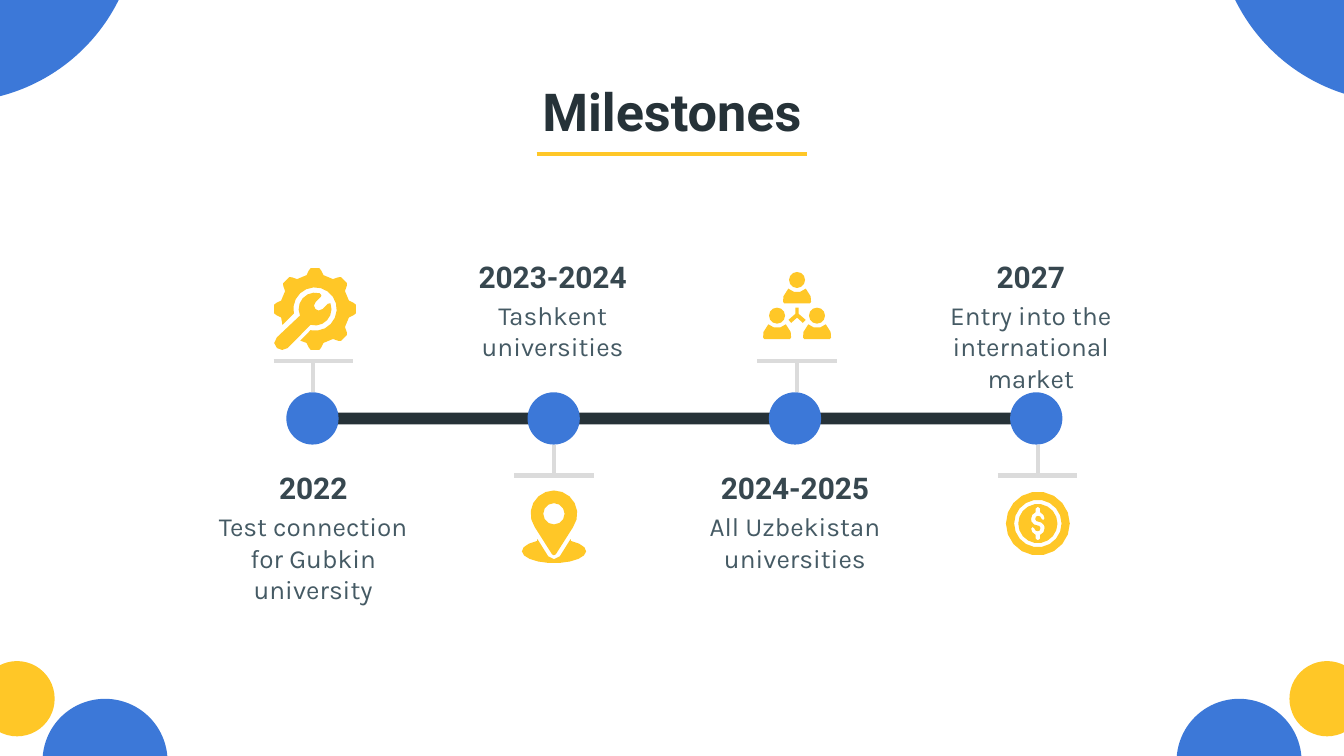
from math import cos, radians, sin

from lxml.etree import SubElement
from pptx import Presentation
from pptx.dml.color import RGBColor
from pptx.enum.shapes import MSO_CONNECTOR as Connector, MSO_SHAPE as Shape
from pptx.enum.text import MSO_ANCHOR as Anchor, PP_ALIGN as Align
from pptx.oxml.ns import qn
from pptx.util import Pt

BLUE = RGBColor(0x3C, 0x78, 0xD8)
YELLOW = RGBColor(0xFF, 0xC7, 0x27)
INK = RGBColor(0x26, 0x32, 0x38)
HEADING = RGBColor(0x37, 0x47, 0x4F)
BODY = RGBColor(0x45, 0x5A, 0x64)
GREY = RGBColor(0xDB, 0xDB, 0xDB)

TITLE = "Milestones"
MILESTONES = [
    ("2022", "Test connection for Gubkin university", "gear", 167.8, 167.9),
    ("2023-2024", "Tashkent universities", "pin", 296.1, 296.7),
    ("2024-2025", "All Uzbekistan universities", "team", 425.9, 427),
    ("2027", "Entry into the international market", "coin", 552.2, 555.9),
]
CORNER_CIRCLES = [
    (651.6, -141.8, 196.6, BLUE),
    (690.8, 354.2, 40.3, YELLOW),
    (630.3, 374.4, 67, BLUE),
    (-122.8, -142, 196.6, BLUE),
    (-11, 354.2, 40.3, YELLOW),
    (22.8, 374.4, 67, BLUE),
]

FIRST_DOT, DOT_STEP = 167.4, 129.25
AXIS_Y, DOT = 224.2, 28
ICON_AT = {"gear": (0.9, 165.6), "pin": (0.1, 275.3), "team": (0, 150), "coin": (0.1, 280.5)}


def arc(radius, start=0, end=360, x=0, y=0, radius_y=None):
    steps = max(2, round(abs(end - start) / (20 if radius > 8 else 30)))
    angles = [radians(start + (end - start) * n / steps) for n in range(steps + 1)]
    return [(x + radius * cos(a), y + (radius_y or radius) * sin(a)) for a in angles]


def polar(radius, angle):
    return radius * cos(radians(angle)), radius * sin(radians(angle))


def gear():
    rim = [polar(18.7, 115)]
    for tooth in range(90, -181, -45):
        rim += [polar(18.7, tooth + 14), polar(21, tooth + 9), polar(22, tooth + 6),
                polar(22, tooth - 6), polar(21, tooth - 9), polar(18.7, tooth - 14)]
    rim += [polar(19.4, 154)] + arc(11.6, 168, 462)
    handle = [(-8.2, 3.6), (-20.4, 15.1), (-21.9, 18.2), (-20.4, 20.9), (-17.6, 21.9), (-14.7, 20.9)]
    jaw = [(6.9, -2.9), (4, 0), (1.9, 0.8), (0.2, 0), (-0.6, -1.9), (0.2, -3.6), (3.1, -6.5), (3.4, -7.4)]
    return [[rim], [handle + arc(8.8, 106, -20) + jaw + arc(8.8, -74, -204)]]


def pin():
    marker = arc(12.5, 145, 395) + [(1, 21.7), (0, 22.2), (-1, 21.7)]
    notch = [(-8.9, 13.5), (-3.1, 22.8), (0, 24.3), (3.1, 22.8), (8.9, 13.5)]
    return [[marker, arc(5.7)], [notch + arc(17.2, -58, 238, y=20, radius_y=6.4)]]


def team():
    shoulders = [(7.3, 8.8), (7.5, 11.8), (6.8, 12.6)]
    torso = arc(6.6, 135, 45) + shoulders + [(-x, y) for x, y in reversed(shoulders)]
    parts = []
    for x, y in [(0, 0), (-10.7, 19.1), (10.7, 19.1)]:
        parts += [[arc(4.3, x=x, y=y)], [[(x + dx, y + dy) for dx, dy in torso]]]
    branch = [(0.9, 14.9), (0.9, 18.2), (4.6, 21.4), (3.1, 23)]
    link = branch + [(0, 20.2)] + [(-x, y) for x, y in reversed(branch)]
    return parts + [[link]]


def coin():
    half = [(0, -9), (1.2, -8.1), (1.2, -6.1), (3, -4.6), (3.6, -2.7), (2.9, -1.8),
            (1.9, -2.6), (1.2, -3.8), (0, -4.1), (-1, -3.7), (-1.4, -2.4), (-0.8, -1.3),
            (0, -1.1), (2, -0.5), (3.4, 1), (3.6, 2.5), (3, 4.7), (1.2, 6.1), (1.2, 8.1)]
    dollar = half + [(-x, -y) for x, y in half]
    return [[arc(17.1), arc(12.7)], [arc(10.5), dollar]]


ICONS = {"gear": gear, "pin": pin, "team": team, "coin": coin}

deck = Presentation()
deck.slide_width, deck.slide_height = Pt(720), Pt(405)
slide = deck.slides.add_slide(deck.slide_layouts[6])
shapes = slide.shapes


def paint(shape, color):
    shape.shadow.inherit = False
    shape.fill.solid()
    shape.fill.fore_color.rgb = color
    shape.line.fill.background()


def block(kind, left, top, width, height, color):
    paint(shapes.add_shape(kind, Pt(left), Pt(top), Pt(width), Pt(height)), color)


def rule(x1, y1, x2, y2, color):
    line = shapes.add_connector(Connector.STRAIGHT, Pt(x1), Pt(y1), Pt(x2), Pt(y2))
    line.line.color.rgb = color
    line.line.width = Pt(2.25)
    SubElement(line._element.spPr, qn("a:effectLst"))


def outline(contours, x, y, color):
    placed = [[(Pt(x + dx), Pt(y + dy)) for dx, dy in contour] for contour in contours]
    builder = shapes.build_freeform(*placed[0][0])
    for number, contour in enumerate(placed):
        if number:
            builder.move_to(*contour[0])
        builder.add_line_segments(contour[1:], close=True)
    paint(builder.convert_to_shape(), color)


def write(text, left, top, width, height, *, size, font, color, bold=False):
    frame = shapes.add_textbox(Pt(left), Pt(top), Pt(width), Pt(height)).text_frame
    frame.word_wrap = True
    frame.vertical_anchor = Anchor.TOP
    frame.margin_left = frame.margin_right = frame.margin_top = frame.margin_bottom = Pt(7.2)
    paragraph = frame.paragraphs[0]
    paragraph.alignment = Align.CENTER
    run = paragraph.add_run()
    run.text = text
    run.font.size, run.font.name, run.font.bold = Pt(size), font, bold
    run.font.color.rgb = color


for left, top, size, color in CORNER_CIRCLES:
    block(Shape.OVAL, left, top, size, size, color)

write(TITLE, 56.5, 35.3, 607, 45.4, size=28, font="Roboto", color=INK, bold=True)
block(Shape.RECTANGLE, 154, AXIS_Y - 3.1, 414, 6.3, INK)

for index, (year, goal, icon, text_x, stem_x) in enumerate(MILESTONES):
    icon_above = index % 2 == 0
    side = -1 if icon_above else 1
    text_top = 244.5 if icon_above else 131.2
    write(year, text_x - 67.7, text_top, 135.4, 32.4, size=16, font="Roboto", color=HEADING, bold=True)
    write(goal, text_x - 65.5, text_top + 21.9, 131, 50.4, size=14, font="Karla", color=BODY)
    dot_x = FIRST_DOT + index * DOT_STEP
    block(Shape.OVAL, dot_x - DOT / 2, AXIS_Y - DOT / 2, DOT, DOT, BLUE)
    bar_y = AXIS_Y + side * 30.6
    rule(stem_x - 21.3, bar_y, stem_x + 21.3, bar_y, GREY)
    rule(stem_x, AXIS_Y + side * DOT / 2, stem_x, bar_y, GREY)
    icon_shift, icon_y = ICON_AT[icon]
    for contours in ICONS[icon]():
        outline(contours, stem_x + icon_shift, icon_y, YELLOW)

rule(287.5, 82.6, 432.5, 82.6, YELLOW)

deck.save("out.pptx")
